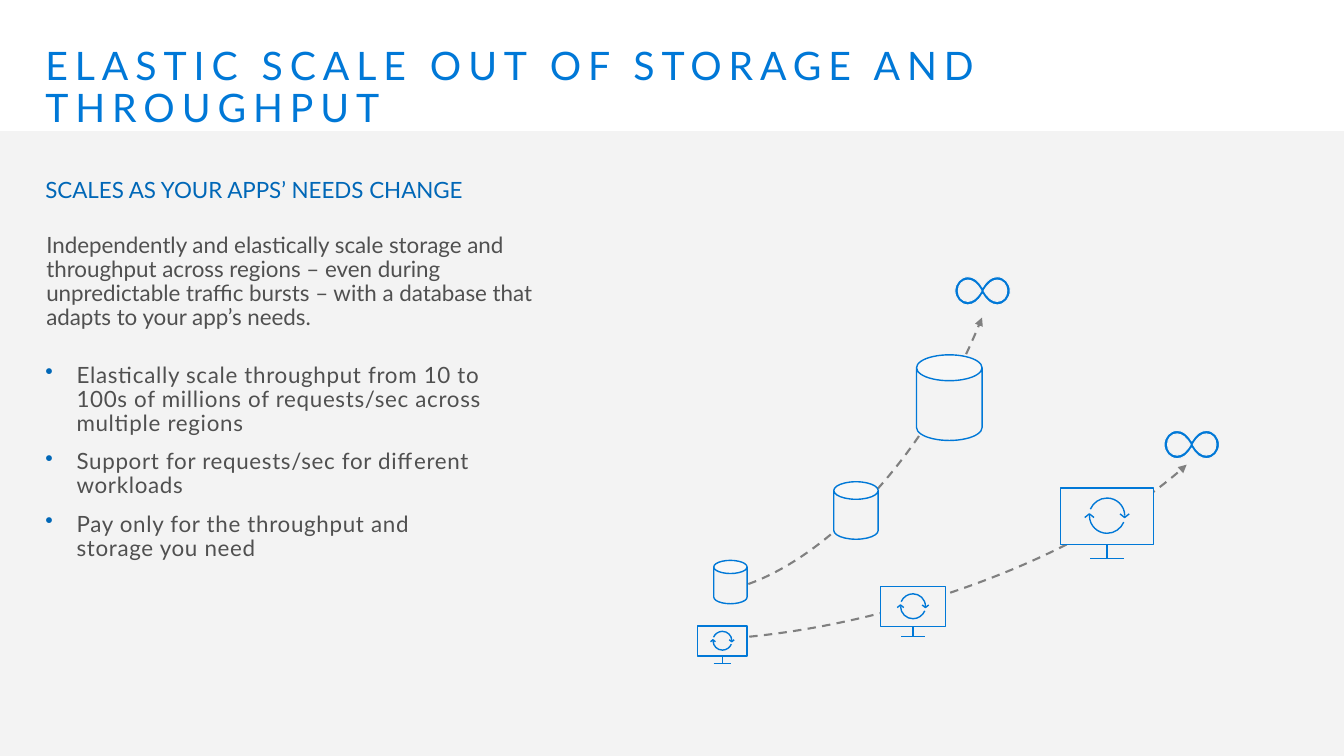
import pptx
import pptx.dml.color
import pptx.enum.dml
import pptx.enum.shapes
import pptx.enum.text
import pptx.oxml.ns
import pptx.util
from dataclasses import dataclass
from lxml import etree


@dataclass(frozen=True)
class Theme:
    font: str = "Lato"
    title_size: int = 28
    text_size: int = 16
    title: pptx.dml.color.RGBColor = pptx.dml.color.RGBColor.from_string("0078D7")
    accent: pptx.dml.color.RGBColor = pptx.dml.color.RGBColor.from_string("0067B7")
    body: pptx.dml.color.RGBColor = pptx.dml.color.RGBColor.from_string("505050")
    trend: pptx.dml.color.RGBColor = pptx.dml.color.RGBColor.from_string("808080")
    panel: pptx.dml.color.RGBColor = pptx.dml.color.RGBColor.from_string("F3F3F3")


theme = Theme()
qn = pptx.oxml.ns.qn
shape_types = pptx.enum.shapes.MSO_SHAPE

presentation = pptx.Presentation()
presentation.slide_width = pptx.util.Inches(13.33)
presentation.slide_height = pptx.util.Inches(7.5)
CELL = presentation.slide_height / 75  # square grid, 75 rows high
slide = presentation.slides.add_slide(presentation.slide_layouts[5])


def write_text(shape, texts, box, size=theme.text_size, colour=theme.body,
               tracking=0, line_spacing=0.9, space_before=0, bullet=None):
    """Place the shape on the grid and fill it, one paragraph per text."""
    shape.left, shape.top, shape.width, shape.height = [round(n * CELL) for n in box]
    frame = shape.text_frame
    frame.word_wrap = True
    frame.auto_size = pptx.enum.text.MSO_AUTO_SIZE.NONE
    frame.vertical_anchor = pptx.enum.text.MSO_ANCHOR.TOP
    frame.margin_left = frame.margin_right = round(1.6 * CELL)
    frame.margin_top = frame.margin_bottom = round(CELL)
    for index, text in enumerate(texts):
        paragraph = frame.add_paragraph() if index else frame.paragraphs[0]
        if bullet:
            properties = paragraph._p.get_or_add_pPr()
            properties.set("marL", str(round(3.1 * CELL)))
            properties.set("indent", str(round(-3.1 * CELL)))
            bullet_colour = etree.SubElement(properties, qn("a:buClr"))
            etree.SubElement(bullet_colour, qn("a:srgbClr")).set("val", str(theme.accent))
            etree.SubElement(properties, qn("a:buChar")).set("char", bullet)
        paragraph.alignment = pptx.enum.text.PP_ALIGN.LEFT
        paragraph.line_spacing = line_spacing
        paragraph.space_before = pptx.util.Pt(space_before if index else 0)
        run = paragraph.add_run()
        run.text = text
        run.font.name = theme.font
        run.font.size = pptx.util.Pt(size)
        run.font.color.rgb = colour
        run._r.get_or_add_rPr().set("spc", str(round(tracking * 100)))


def draw_path(contours, line_colour=theme.title, width=1, fill=None, curved=True):
    """Draw contours; when curved, each three points after the first make a Bézier."""
    builder = None
    for contour in contours:
        points = [(round(x * CELL), round(y * CELL)) for x, y in contour]
        if builder is None:
            builder = slide.shapes.build_freeform(*points[0])
        else:
            builder.move_to(*points[0])
        builder.add_line_segments(points[1:], close=fill is not None)
    shape = builder.convert_to_shape()
    shape.shadow.inherit = False
    shape.line.color.rgb = line_colour
    shape.line.width = pptx.util.Pt(width)
    if fill is None:
        shape.fill.background()
    else:
        shape.fill.solid()
        shape.fill.fore_color.rgb = fill
    if curved:
        outline = next(shape._element.iter(qn("a:path")))
        segments = outline.findall(qn("a:lnTo"))
        for start in range(0, len(segments), 3):
            curve = etree.Element(qn("a:cubicBezTo"))
            segments[start].addprevious(curve)
            for segment in segments[start:start + 3]:
                curve.append(segment[0])
                outline.remove(segment)
    return shape


# Background panel and text
panel = slide.shapes.add_shape(
    shape_types.RECTANGLE, 0, round(13 * CELL),
    presentation.slide_width, round(62 * CELL))
panel.shadow.inherit = False
panel.fill.solid()
panel.fill.fore_color.rgb = theme.panel
panel.line.fill.background()
slide.shapes._spTree.insert(2, panel._element)

write_text(slide.shapes.title, ["ELASTIC SCALE OUT OF STORAGE AND THROUGHPUT"],
           (2.9, 3.6, 127.5, 5.5), size=theme.title_size, colour=theme.title, tracking=5)
write_text(slide.shapes.add_textbox(0, 0, 0, 0), ["SCALES AS YOUR APPS’ NEEDS CHANGE"],
           (2.9, 16.5, 44.7, 4.7), colour=theme.accent, line_spacing=1)
write_text(slide.shapes.add_textbox(0, 0, 0, 0),
           ["Independently and elastically scale storage and throughput across regions – "
            "even during unpredictable traffic bursts – with a database that adapts to "
            "your app’s needs."], (3, 22.2, 56, 11.9))
write_text(slide.shapes.add_textbox(0, 0, 0, 0),
           ["Elastically scale throughput from 10 to 100s of millions of requests/sec "
            "across multiple regions",
            "Support for requests/sec for different workloads",
            "Pay only for the throughput and storage you need"],
           (2.9, 35.1, 47, 21.8), tracking=0.5, space_before=10, bullet="•")

# Dashed growth curves
for growth in (
    [(71.4, 58.7), (80.2, 57.2), (91.5, 46.4), (97.4, 31.5)],
    [(71.4, 63.4), (87.1, 62.5), (107.3, 55.6), (117.7, 46.1)],
):
    curve = draw_path([growth], theme.trend, 1.5)
    curve.line.dash_style = pptx.enum.dml.MSO_LINE.DASH
    line_properties = curve._element.spPr.find(qn("a:ln"))
    etree.SubElement(line_properties, qn("a:tailEnd")).set("type", "triangle")

# Storage cylinders and monitor screens: left, top, width, height
cylinders = [(90.9, 35.2, 6.5, 8.5), (82.7, 47.8, 4.4, 5.7), (70.8, 55.6, 3.3, 4.3)]
screens = [(69.2, 62.1, 4.9, 3), (87.3, 58.2, 6.5, 3.95), (105.2, 48.4, 9.2, 5.6)]
for kind, boxes in ((shape_types.CAN, cylinders), (shape_types.RECTANGLE, screens)):
    for box in boxes:
        shape = slide.shapes.add_shape(kind, *[round(n * CELL) for n in box])
        shape.shadow.inherit = False
        shape.fill.solid()
        shape.fill.fore_color.rgb = theme.panel
        shape.line.color.rgb = theme.title
        shape.line.width = pptx.util.Pt(1)
        if kind == shape_types.CAN:
            shape.adjustments[0] = 0.395

# Monitor stands and refresh arrows, as shares of the screen width
refresh_arc = [(0.18, 0.07), (0.15, 0.14), (0.08, 0.19), (0, 0.19),
               (-0.1, 0.19), (-0.19, 0.11), (-0.19, 0)]
arrow_tip = [(0.14, -0.02), (0.19, 0.02), (0.24, -0.02)]
for left, top, width, height in screens:
    center, middle, bottom = left + width / 2, top + 0.3 * width, top + height
    foot = bottom + 0.15 * width
    strokes = [(center, bottom, center, foot),
               (center - 0.18 * width, foot, center + 0.18 * width, foot)]
    for turn in (width, -width):
        for points, curved in ((refresh_arc, True), (arrow_tip, False)):
            draw_path([[(center + x * turn, middle + y * turn) for x, y in points]],
                      curved=curved)
        strokes.append((center + 0.19 * turn, middle,
                        center + 0.19 * turn, middle + 0.02 * turn))
    for stroke in strokes:
        connector = slide.shapes.add_connector(
            pptx.enum.shapes.MSO_CONNECTOR.STRAIGHT, *[round(n * CELL) for n in stroke])
        connector.line.color.rgb = theme.title
        connector.line.width = pptx.util.Pt(1)
        etree.SubElement(connector._element.spPr, qn("a:effectLst"))

# Infinity signs: upper-left quarters, mirrored about the center
outer_quarter = [(0, -0.35), (-0.4, -1.05), (-0.9, -1.4), (-1.45, -1.4),
                 (-2.2, -1.4), (-2.75, -0.75), (-2.75, 0)]
hole_quarter = [(-0.15, 0), (-0.55, -0.7), (-1, -1.05), (-1.45, -1.05),
                (-2, -1.05), (-2.4, -0.6), (-2.4, 0)]
outer_half = outer_quarter + [(x, -y) for x, y in outer_quarter[-2::-1]]
left_hole = hole_quarter + [(x, -y) for x, y in hole_quarter[-2::-1]]
infinity = [outer_half + [(-x, y) for x, y in outer_half[-2::-1]],
            left_hole, [(-x, y) for x, y in left_hole]]
for center, middle in ((97.45, 28.85), (118.2, 44.1)):
    draw_path([[(center + x, middle + y) for x, y in contour] for contour in infinity],
              theme.panel, 0.75, fill=theme.title)

presentation.save("out.pptx")
